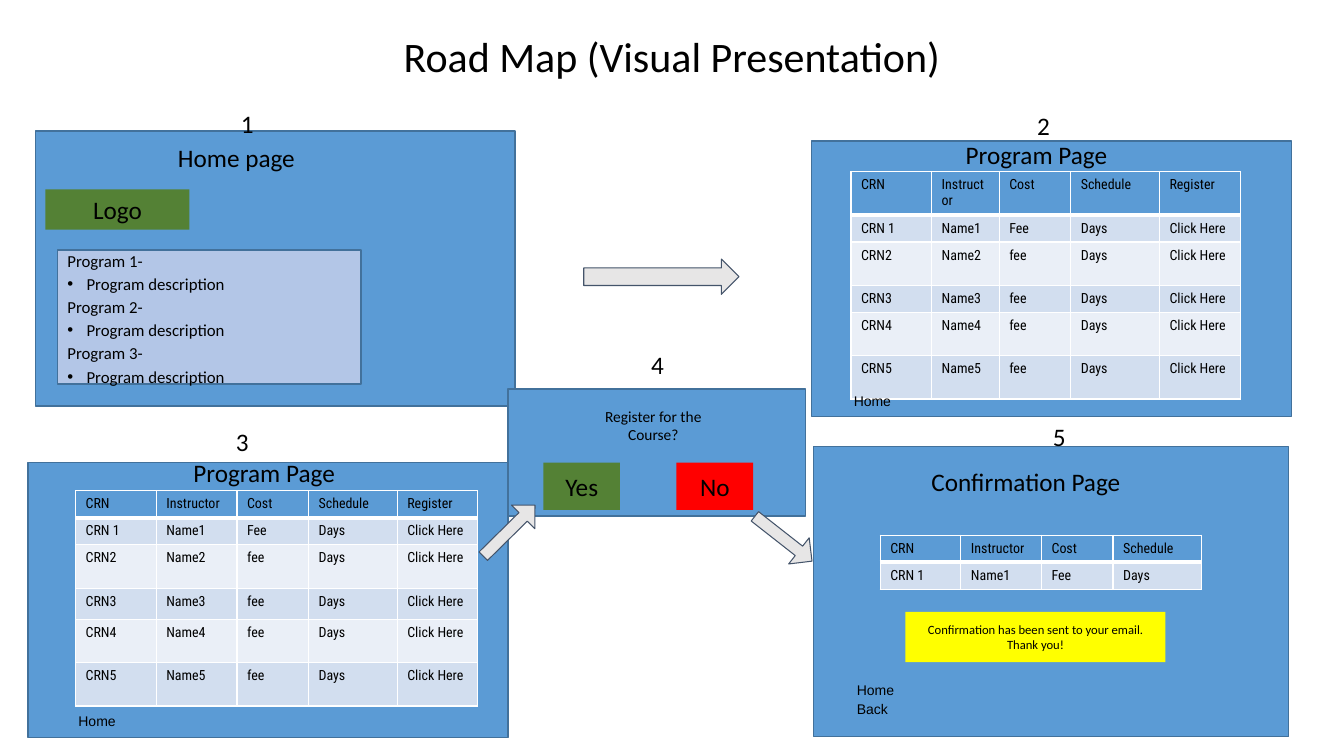
from dataclasses import dataclass

from lxml.etree import SubElement
from pptx import Presentation
from pptx.dml.color import RGBColor
from pptx.enum.shapes import MSO_SHAPE
from pptx.enum.text import MSO_ANCHOR, PP_ALIGN
from pptx.oxml import parse_xml
from pptx.oxml.ns import nsdecls, qn
from pptx.util import Inches, Pt


@dataclass(frozen=True)
class Theme:
    """Colours, fonts and type sizes of the slide."""
    text: str = "000000"
    panel: str = "5B9BD5"
    panel_line: str = "42719B"
    programs: str = "B3C6E7"
    green: str = "548135"
    red: str = "FF0000"
    notice: str = "FFFF00"
    arrow: str = "E7E6E6"
    arrow_line: str = "44546A"
    border: str = "FFFFFF"
    bands: tuple = ("D2DEEF", "EAEFF7")
    font: str = "Calibri"
    link_font: str = "Arial"
    table_font: str = "Roboto Condensed"
    title_size: float = 30
    heading_size: float = 18
    list_size: float = 12
    question_size: float = 11
    small_size: float = 10
    notice_size: float = 9


THEME = Theme()
COLUMNS = (0.8, 0.8, 0.71, 0.88, 0.8)
HEADER = ("CRN", "Instructor", "Cost", "Schedule", "Register")
COURSES = [
    (f"CRN {number}" if number == 1 else f"CRN{number}", f"Name{number}",
     "Fee" if number == 1 else "fee", "Days", "Click Here")
    for number in range(1, 6)
]


def write_text(frame, text, size=THEME.heading_size, font=THEME.font, align=PP_ALIGN.CENTER,
               anchor=MSO_ANCHOR.MIDDLE, wrap=True, spacing=None):
    """Fill a text frame with one paragraph per line of text."""
    frame.word_wrap = wrap
    frame.vertical_anchor = anchor
    for index, line in enumerate(text.split("\n")):
        paragraph = frame.paragraphs[0] if index == 0 else frame.add_paragraph()
        paragraph.alignment = align
        paragraph.line_spacing = spacing
        run = paragraph.add_run()
        run.text = line
        run.font.size = Pt(size)
        run.font.name = font
        run.font.color.rgb = RGBColor.from_string(THEME.text)


def add_label(slide, box, text, **text_format):
    """Add a text box."""
    shape = slide.shapes.add_textbox(*map(Inches, box))
    write_text(shape.text_frame, text, **text_format)


def add_number(slide, box, text, **text_format):
    """Add the step number of a page."""
    add_label(slide, box, text, wrap=False, **text_format)


def add_link(slide, left, top, text):
    """Add a navigation link."""
    add_label(slide, (left, top, 2.04, 0.27), text, size=THEME.small_size,
              font=THEME.link_font, align=PP_ALIGN.LEFT, anchor=MSO_ANCHOR.TOP)


def add_block(slide, box, fill, line=None, line_width=1, kind=MSO_SHAPE.RECTANGLE):
    """Add a filled shape and return it."""
    shape = slide.shapes.add_shape(kind, *map(Inches, box))
    shape.shadow.inherit = False
    shape.fill.solid()
    shape.fill.fore_color.rgb = RGBColor.from_string(fill)
    if line:
        shape.line.color.rgb = RGBColor.from_string(line)
        shape.line.width = Pt(line_width)
    else:
        shape.line.fill.background()
    return shape


def add_panel(slide, box):
    """Add the blue background of a page."""
    add_block(slide, box, THEME.panel, THEME.panel_line)


def add_button(slide, box, text, fill, **text_format):
    """Add a coloured block with centred text."""
    write_text(add_block(slide, box, fill).text_frame, text, **text_format)


def add_arrow(slide, box, rotation=0, shaft=0.5):
    """Add a block arrow."""
    arrow = add_block(slide, box, THEME.arrow, THEME.arrow_line, 0.75, MSO_SHAPE.RIGHT_ARROW)
    arrow.adjustments[0] = shaft
    arrow.rotation = rotation


def set_borders(cell, bottom_width):
    """Draw white borders around a table cell."""
    properties = cell._tc.get_or_add_tcPr()
    for index, side in enumerate("LRTB"):
        width = Pt(bottom_width if side == "B" else 1)
        border = parse_xml(f'<a:ln{side} {nsdecls("a")} w="{width}"><a:solidFill>'
                           f'<a:srgbClr val="{THEME.border}"/></a:solidFill></a:ln{side}>')
        properties.insert(index, border)


def add_course_table(slide, left, top, columns, heights, records):
    """Add a banded table of courses under a blue header."""
    frame = slide.shapes.add_table(len(heights), len(columns), Inches(left), Inches(top),
                                   Inches(sum(columns)), Inches(sum(heights)))
    table = frame.table
    for column, width in zip(table.columns, columns):
        column.width = Inches(width)
    for row_index, (height, record) in enumerate(zip(heights, [HEADER, *records])):
        table.rows[row_index].height = Inches(height)
        fill = THEME.bands[(row_index - 1) % 2] if row_index else THEME.panel
        for cell, text in zip(table.rows[row_index].cells, record):
            write_text(cell.text_frame, text, size=THEME.small_size, font=THEME.table_font,
                       align=PP_ALIGN.LEFT)
            cell.vertical_anchor = MSO_ANCHOR.TOP
            cell.fill.solid()
            cell.fill.fore_color.rgb = RGBColor.from_string(fill)
            set_borders(cell, 1 if row_index else 3)


def add_program_list(slide, box):
    """Add the list of programs with bulleted descriptions."""
    shape = add_block(slide, box, THEME.programs, THEME.panel_line)
    lines = [line for number in range(1, 4)
             for line in (f"Program {number}-", "Program description")]
    write_text(shape.text_frame, "\n".join(lines), size=THEME.list_size,
               align=PP_ALIGN.LEFT, spacing=1.15)
    for paragraph in shape.text_frame.paragraphs[1::2]:
        properties = paragraph._p.get_or_add_pPr()
        properties.set("marL", str(Inches(0.19)))
        properties.set("indent", str(-Inches(0.19)))
        SubElement(properties, qn("a:buFont")).set("typeface", THEME.link_font)
        SubElement(properties, qn("a:buChar")).set("char", "•")


def add_home_page(slide, left, top):
    """Add page 1 with its logo block and programs."""
    add_panel(slide, (left, top, 4.76, 2.73))
    add_label(slide, (left + 0.89, top + 0.06, 2.21, 0.4), "Home page")
    add_number(slide, (left + 1.94, top - 0.28, 0.25, 0.4), "1")
    add_button(slide, (left + 0.1, top + 0.58, 1.43, 0.4), "Logo", THEME.green)
    add_program_list(slide, (left + 0.22, top + 1.18, 3.01, 1.33))


def add_program_page(slide, left, top, number, number_box, heading_box, table_at, link_at,
                     columns, heights):
    """Add a program page; inner places are offsets from its corner."""
    add_panel(slide, (left, top, 4.76, 2.73))
    for add, text, (x, y, width, height) in ((add_number, number, number_box),
                                             (add_label, "Program Page", heading_box)):
        add(slide, (left + x, top + y, width, height), text)
    add_course_table(slide, left + table_at[0], top + table_at[1], columns, heights, COURSES)
    add_link(slide, left + link_at[0], top + link_at[1], "Home")


def add_registration(slide, left, top):
    """Add step 4, the question with its two answers."""
    add_panel(slide, (left, top, 2.95, 1.26))
    add_number(slide, (left + 1.32, top - 0.44, 0.25, 0.4), "4", anchor=MSO_ANCHOR.TOP)
    add_label(slide, (left + 0.61, top + 0.16, 1.66, 0.4), "Register for the Course?",
              size=THEME.question_size)
    for offset, text, fill in ((0.35, "Yes", THEME.green), (1.67, "No", THEME.red)):
        add_button(slide, (left + offset, top + 0.73, 0.76, 0.47), text, fill)


def add_confirmation_page(slide, left, top):
    """Add page 5 with the chosen course and the notice."""
    add_panel(slide, (left, top, 4.71, 2.88))
    add_number(slide, (left + 2.29, top - 0.3, 0.18, 0.46), "5", anchor=MSO_ANCHOR.TOP)
    add_label(slide, (left + 1, top + 0.15, 2.21, 0.4), "Confirmation Page")
    add_course_table(slide, left + 0.66, top + 0.88, COLUMNS[:4], (0.26, 0.26), COURSES[:1])
    add_button(slide, (left + 0.91, top + 1.64, 2.58, 0.5),
               "Confirmation has been sent to your email.\nThank you!", THEME.notice,
               size=THEME.notice_size)
    add_link(slide, left + 0.33, top + 2.28, "Home")
    add_link(slide, left + 0.33, top + 2.47, "Back")


def main():
    """Build the road map slide and save it."""
    presentation = Presentation()
    presentation.slide_width, presentation.slide_height = Inches(13.33), Inches(7.5)
    slide = presentation.slides.add_slide(presentation.slide_layouts[6])
    add_label(slide, (2.91, 0.09, 7.51, 0.98), "Road Map (Visual Presentation)",
              size=THEME.title_size, spacing=0.9)
    add_home_page(slide, 0.35, 1.3)
    add_confirmation_page(slide, 8.07, 4.43)
    add_program_page(slide, 8.05, 1.4, "2", (1.63, -0.26, 1.34, 0.21), (1.35, 0.02, 1.76, 0.23),
                     (0.39, 0.3), (0.32, 2.44), (0.8, 0.67, 0.71, 0.88, 0.8),
                     (0.26, 0.26, 0.43, 0.26, 0.43, 0.43))
    add_program_page(slide, 0.28, 4.59, "3", (1.96, -0.41, 0.25, 0.4), (1.51, 0.02, 1.66, 0.16),
                     (0.47, 0.28), (0.4, 2.43), COLUMNS, (0.26, 0.26, 0.43, 0.31, 0.43, 0.43))
    add_registration(slide, 5.04, 3.86)
    add_arrow(slide, (5.79, 2.57, 1.54, 0.35))
    add_arrow(slide, (7.41, 5.18, 0.72, 0.33), rotation=38.1, shaft=0.36)
    add_arrow(slide, (4.69, 5.1, 0.72, 0.33), rotation=315.4, shaft=0.36)
    presentation.save("out.pptx")


if __name__ == "__main__":
    main()
